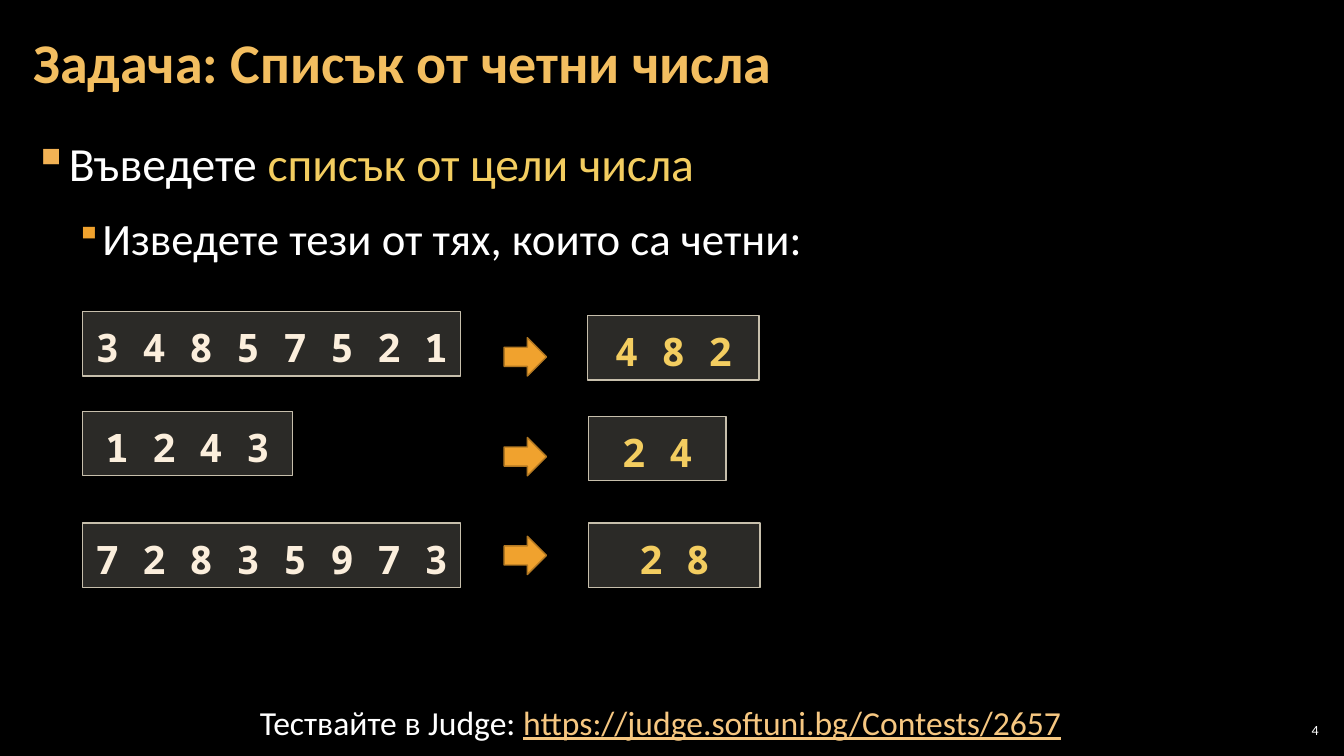
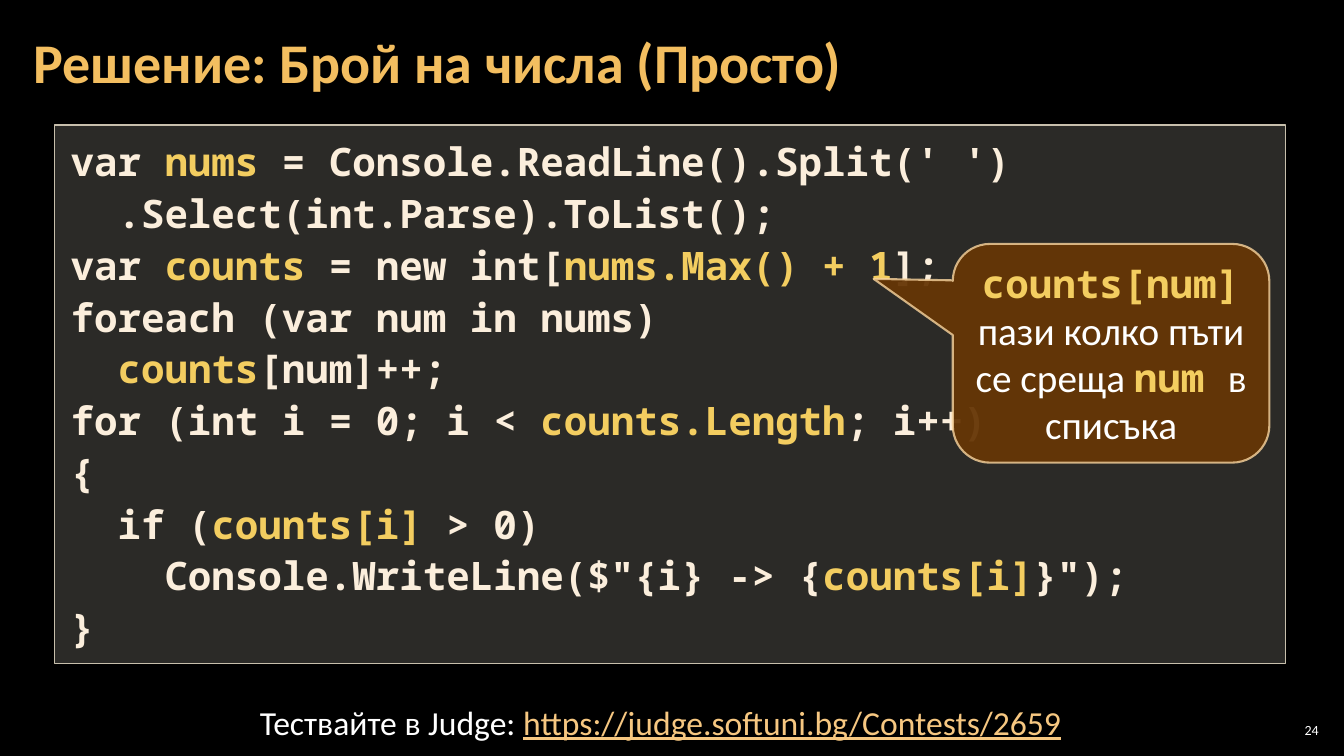
from dataclasses import dataclass

from lxml import etree
from pptx import Presentation
from pptx.dml.color import RGBColor
from pptx.enum import shapes as sh
from pptx.enum import text as tx
from pptx.oxml import ns
from pptx.util import Inches, Pt

# Shared look
BLACK = RGBColor(0x00, 0x00, 0x00)
WHITE = RGBColor(0xFF, 0xFF, 0xFF)
TITLE_GOLD = RGBColor(0xF3, 0xBE, 0x60)
HIGHLIGHT = RGBColor(0xF3, 0xCD, 0x60)
CREAM = RGBColor(0xFB, 0xEE, 0xDC)
CODE_FILL = RGBColor(0xD9, 0xD5, 0xC7)
CODE_LINE = RGBColor(0xC7, 0xBF, 0xAC)
ORANGE = RGBColor(0xF0, 0xA2, 0x2E)
ARROW_LINE = RGBColor(0xB2, 0x78, 0x22)
BULLET_GOLD = RGBColor(0xF2, 0xB2, 0x54)
LINK = RGBColor(0xF6, 0xC7, 0x81)
CALLOUT_FILL = RGBColor(0x66, 0x36, 0x06)
CALLOUT_LINE = RGBColor(0xF8, 0xD4, 0x9E)
BODY_FONT, CODE_FONT = "Calibri", "Noto Sans Mono"
TITLE_ONLY = 5
MARK = "|"  # encloses highlighted pieces of a line


@dataclass
class Example:
    numbers: str
    numbers_top: float
    numbers_width: float
    arrow_top: float
    evens: str
    evens_left: float
    evens_top: float
    evens_width: float


@dataclass
class Bullet:
    line: str
    size: int
    margin: float
    hanging: float
    color: RGBColor
    percent: int


EXAMPLES = [
    Example("3 4 8 5 7 5 2 1", 3.09, 3.75, 3.35, "4 8 2", 5.83, 3.13, 1.7),
    Example("1 2 4 3", 4.08, 2.08, 4.34, "2 4", 5.84, 4.13, 1.36),
    Example("7 2 8 3 5 9 7 3", 5.19, 3.75, 5.32, "2 8", 5.84, 5.19, 1.7),
]
BULLETS = [
    Bullet("Въведете |списък от цели числа|", 34, 0.33, 0.33, BULLET_GOLD, 100),
    Bullet("Изведете тези от тях, които са четни:", 32, 0.67, 0.25, ORANGE, 80),
]
CODE = """\
var |nums| = Console.ReadLine().Split(' ')
  .Select(int.Parse).ToList();
var |counts| = new int[|nums.Max() + 1|];
foreach (var num in nums)
  |counts|[num]++;
for (int i = 0; i < |counts.Length|; i++)
{
  if (|counts[i]| > 0)
    Console.WriteLine($"{i} -> {|counts[i]|}");
}""".split("\n")


def set_font(font, size: float, name: str, color: RGBColor | None = None,
             bold: bool = False) -> None:
    font.size, font.name, font.bold = Pt(size), name, bold
    if color is not None:
        font.color.rgb = color


def set_frame(frame, insets=(0.1, 0.05), anchor=tx.MSO_ANCHOR.TOP,
              fit=tx.MSO_AUTO_SIZE.NONE, wrap: bool = True) -> None:
    frame.margin_left = frame.margin_right = Inches(insets[0])
    frame.margin_top = frame.margin_bottom = Inches(insets[1])
    frame.vertical_anchor, frame.auto_size, frame.word_wrap = anchor, fit, wrap


def add_marked_runs(paragraph, line: str, plain: RGBColor, marked=HIGHLIGHT) -> list:
    """Add the runs of a line, colouring the marked pieces; return those."""
    marked_runs = []
    for index, piece in enumerate(line.split(MARK)):
        if piece:
            run = paragraph.add_run()
            run.text = piece
            run.font.color.rgb = marked if index % 2 else plain
            if index % 2:
                marked_runs.append(run)
    return marked_runs


def set_alpha(color_owner, percent: int) -> None:
    color = next(color_owner.iter(ns.qn("a:srgbClr")))
    etree.SubElement(color, ns.qn("a:alpha"), val=str(percent * 1000))


def add_panel(slide, preset, box, fill: RGBColor, line: RGBColor,
              line_width: float = 1, opacity: int = 100):
    panel = slide.shapes.add_shape(preset, *map(Inches, box))
    panel.shadow.inherit = False
    panel.fill.solid()
    panel.fill.fore_color.rgb = fill
    panel.line.color.rgb = line
    panel.line.width = Pt(line_width)
    if opacity < 100:
        set_alpha(panel.fill._xPr.find(ns.qn("a:solidFill")), opacity)
    return panel


def add_code_box(slide, box, lines: list[str], color: RGBColor = CREAM,
                 align=tx.PP_ALIGN.LEFT, spacing: float = 1.1,
                 insets=(0.16, 0.08)) -> None:
    panel = add_panel(slide, sh.MSO_SHAPE.RECTANGLE, box, CODE_FILL, CODE_LINE,
                      opacity=20)
    frame = panel.text_frame
    set_frame(frame, insets, fit=tx.MSO_AUTO_SIZE.SHAPE_TO_FIT_TEXT)
    for index, line in enumerate(lines):
        paragraph = frame.add_paragraph() if index else frame.paragraphs[0]
        paragraph.alignment, paragraph.line_spacing = align, spacing
        set_font(paragraph.font, 28, CODE_FONT, bold=True)
        add_marked_runs(paragraph, line, color)


def add_text_box(slide, box, **frame_options):
    frame = slide.shapes.add_textbox(*map(Inches, box)).text_frame
    set_frame(frame, **frame_options)
    return frame


def add_base_slide(deck, title: str, number: int, contest: int):
    """Add a slide with the shared background, title, footer and number."""
    slide = deck.slides.add_slide(deck.slide_layouts[TITLE_ONLY])
    slide.background.fill.solid()
    slide.background.fill.fore_color.rgb = BLACK

    heading = slide.shapes.title
    heading.left, heading.top = Inches(0.21), Inches(0.04)
    heading.width, heading.height = Inches(12.91), Inches(1.21)
    set_frame(heading.text_frame, (0.12, 0.04), tx.MSO_ANCHOR.MIDDLE)
    heading.text_frame.text = title
    paragraph = heading.text_frame.paragraphs[0]
    paragraph.alignment, paragraph.line_spacing = tx.PP_ALIGN.LEFT, 0.9
    set_font(paragraph.font, 40, BODY_FONT, TITLE_GOLD, bold=True)

    page = add_text_box(slide, (12.65, 7.14, 0.47, 0.21), insets=(0.04, 0.04),
                        anchor=tx.MSO_ANCHOR.MIDDLE)
    page.text = str(number)
    page.paragraphs[0].alignment = tx.PP_ALIGN.RIGHT
    set_font(page.paragraphs[0].font, 10, BODY_FONT, WHITE)

    footer = add_text_box(slide, (2.48, 6.91, 8.36, 0.5), wrap=False,
                          fit=tx.MSO_AUTO_SIZE.SHAPE_TO_FIT_TEXT).paragraphs[0]
    set_font(footer.font, 24, BODY_FONT)
    address = f"https://judge.softuni.bg/Contests/{contest}"
    for run in add_marked_runs(footer, f"Тествайте в Judge: |{address}|", WHITE, LINK):
        run.font.underline = True
    return slide


def add_bullets(slide, bullets: list[Bullet]) -> None:
    frame = add_text_box(slide, (0.21, 1.26, 12.91, 1.6), insets=(0.12, 0.04))
    for index, bullet in enumerate(bullets):
        paragraph = frame.add_paragraph() if index else frame.paragraphs[0]
        properties = paragraph._p.get_or_add_pPr()
        properties.set("marL", str(Inches(bullet.margin)))
        properties.set("indent", str(-Inches(bullet.hanging)))
        color = etree.SubElement(properties, ns.qn("a:buClr"))
        etree.SubElement(color, ns.qn("a:srgbClr"), val=str(bullet.color))
        etree.SubElement(properties, ns.qn("a:buSzPct"), val=str(bullet.percent * 1000))
        etree.SubElement(properties, ns.qn("a:buChar"), char="▪")
        paragraph.line_spacing = 1.05
        paragraph.space_before = Pt(6 if index else 0)
        paragraph.space_after = Pt(6)
        set_font(paragraph.font, bullet.size, BODY_FONT)
        add_marked_runs(paragraph, bullet.line, WHITE)


def add_example(slide, example: Example) -> None:
    number_style = dict(align=tx.PP_ALIGN.CENTER, spacing=1.15, insets=(0.1, 0.05))
    add_code_box(slide, (0.82, example.numbers_top, example.numbers_width, 0.64),
                 [example.numbers], **number_style)
    add_panel(slide, sh.MSO_SHAPE.RIGHT_ARROW, (5, example.arrow_top, 0.42, 0.38),
              ORANGE, ARROW_LINE)
    add_code_box(slide,
                 (example.evens_left, example.evens_top, example.evens_width, 0.64),
                 [example.evens], HIGHLIGHT, **number_style)


def add_callout(slide, line: str) -> None:
    callout = add_panel(slide, sh.MSO_SHAPE.ROUNDED_RECTANGULAR_CALLOUT,
                        (9.45, 2.42, 3.14, 2.17), CALLOUT_FILL, CALLOUT_LINE, 1.5, 95)
    set_alpha(callout.line._ln, 80)
    for index, value in enumerate((-0.75, -0.34, 0.17)):
        callout.adjustments[index] = value
    set_frame(callout.text_frame, anchor=tx.MSO_ANCHOR.MIDDLE)
    paragraph = callout.text_frame.paragraphs[0]
    paragraph.alignment = tx.PP_ALIGN.CENTER
    set_font(paragraph.font, 28, BODY_FONT)
    for run in add_marked_runs(paragraph, line, WHITE):
        set_font(run.font, 28, CODE_FONT, HIGHLIGHT, bold=True)


def main() -> None:
    deck = Presentation()
    deck.slide_width, deck.slide_height = Inches(13.33), Inches(7.5)

    # Task: even numbers
    task = add_base_slide(deck, "Задача: Списък от четни числа", 4, 2657)
    add_bullets(task, BULLETS)
    for example in EXAMPLES:
        add_example(task, example)

    # Solution: counting numbers
    solution = add_base_slide(deck, "Решение: Брой на числа (Просто)", 24, 2659)
    add_code_box(solution, (0.54, 1.24, 12.21, 5.34), CODE)
    add_callout(solution, "|counts[num] |пази колко пъти се среща |num |в списъка")

    deck.save("out.pptx")


if __name__ == "__main__":
    main()
